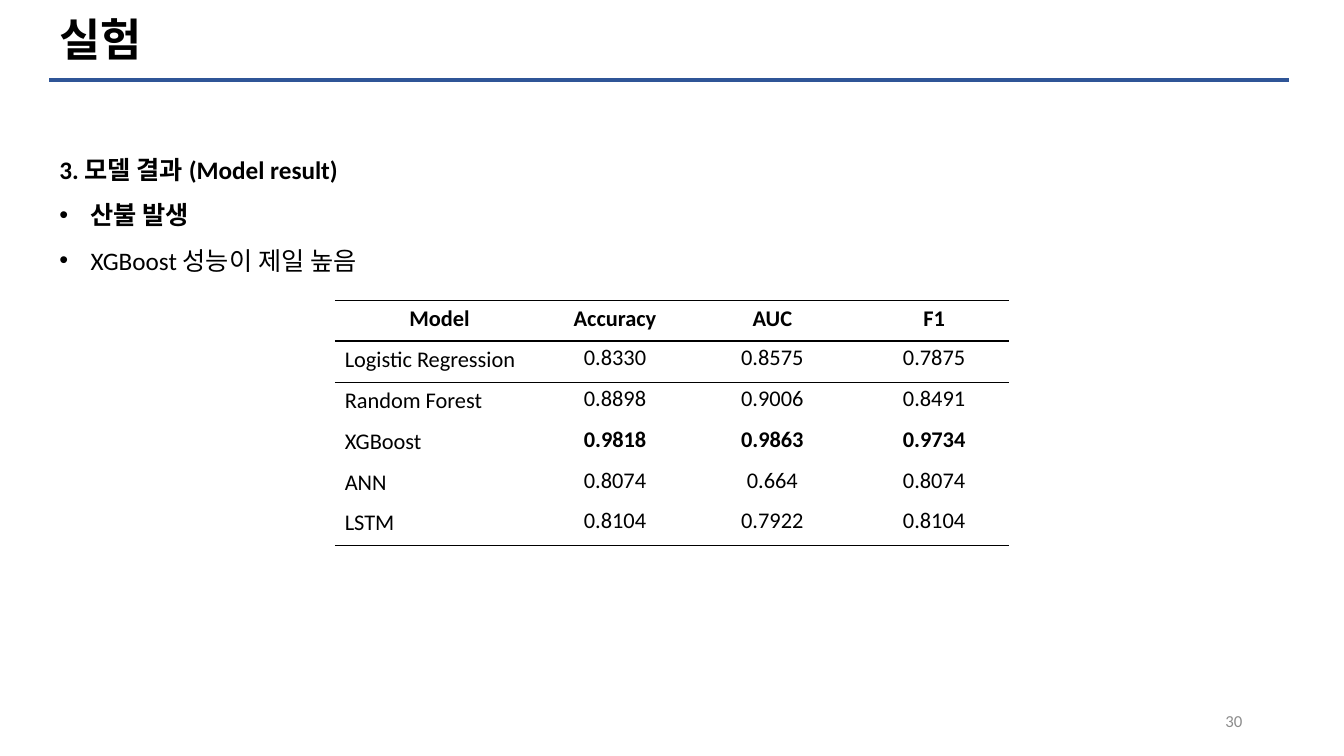
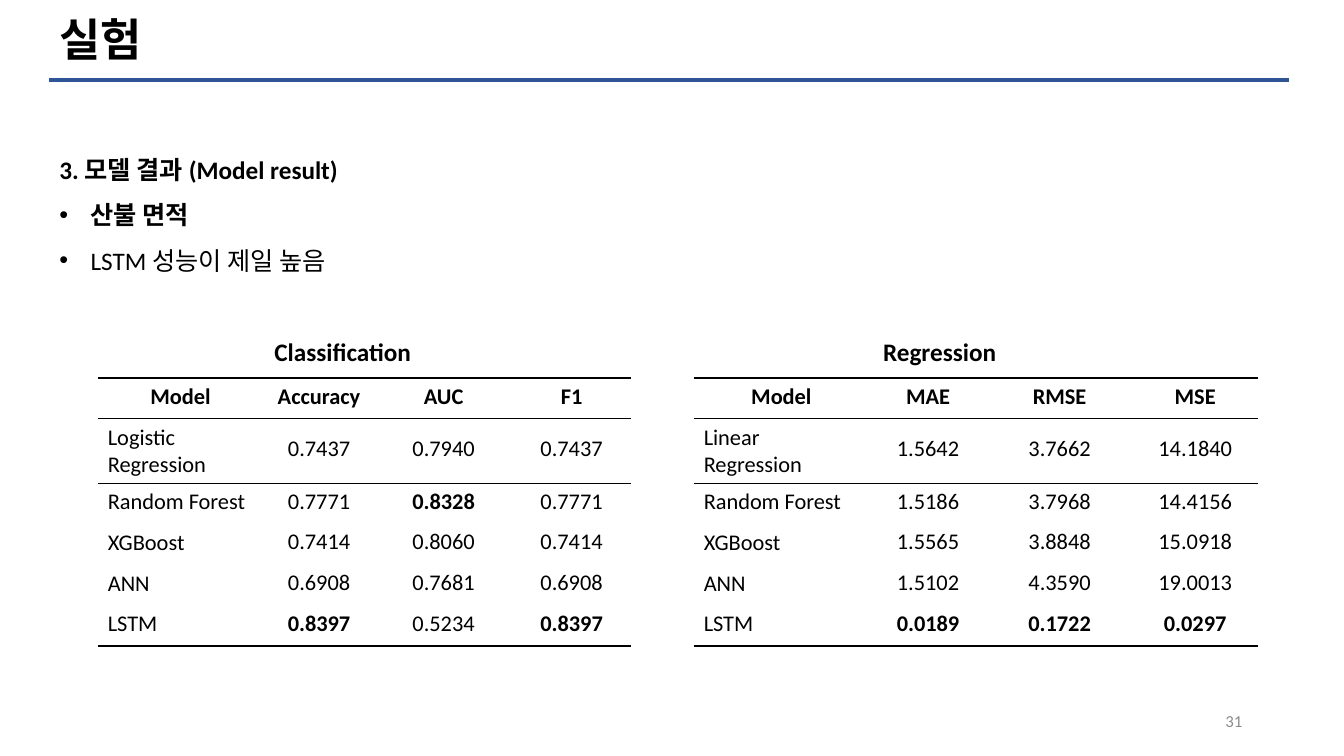
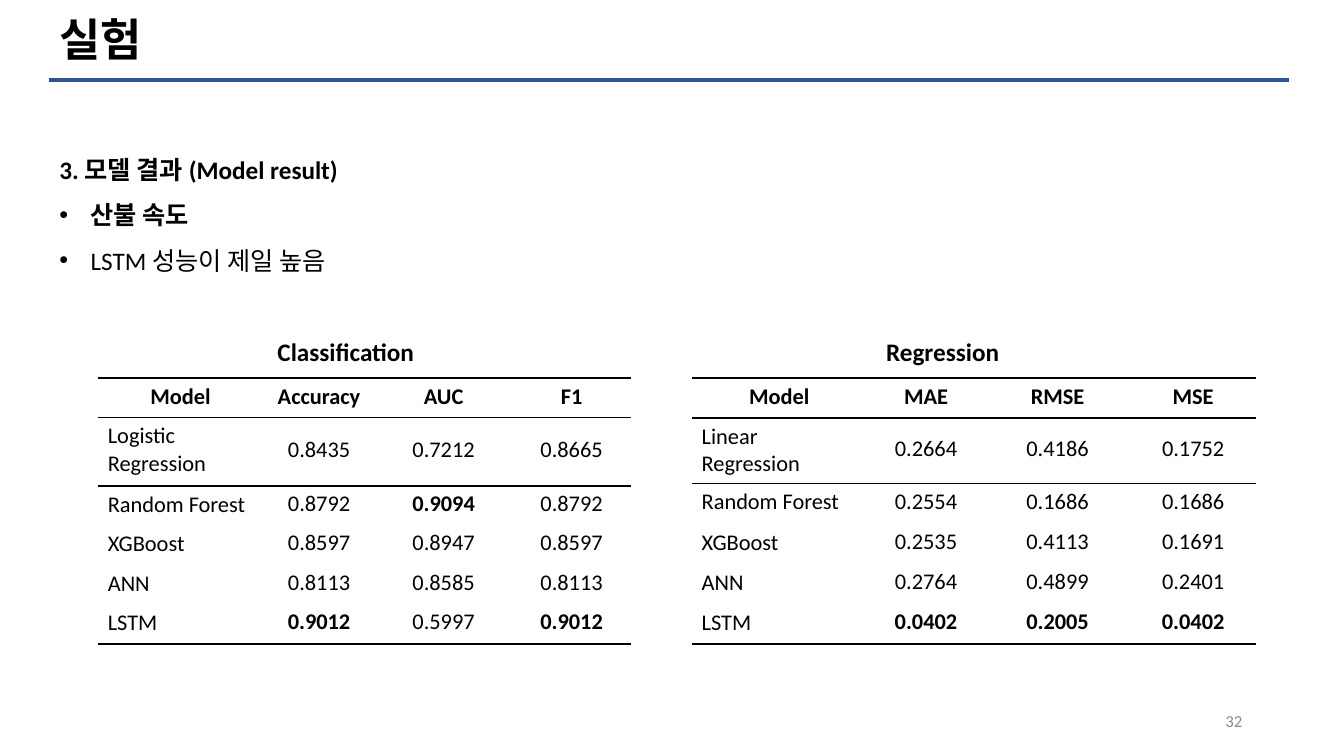
import dataclasses

import lxml.etree
import pptx
import pptx.dml.color
import pptx.enum.shapes
import pptx.enum.text
import pptx.oxml.ns
import pptx.util

Inches = pptx.util.Inches
Pt = pptx.util.Pt
Align = pptx.enum.text.PP_ALIGN
Anchor = pptx.enum.text.MSO_ANCHOR
qn = pptx.oxml.ns.qn


@dataclasses.dataclass(frozen=True)
class Theme:
    font: str = "Calibri"
    text: str = "000000"
    accent: str = "2F5597"
    muted: str = "8C8C8C"
    title_size: int = 32
    body_size: int = 18
    table_size: int = 16
    number_size: int = 12
    rule_width: int = 3
    border_width: int = 1
    plain_table: str = "{2D5ABB26-0587-4C30-8999-92F81FD0307C}"


CLASSIFICATION = ("Accuracy", "AUC", "F1")
REGRESSION = ("MAE", "RMSE", "MSE")
COMMON_MODELS = ("Random Forest", "XGBoost", "ANN", "LSTM")
LOGISTIC_MODELS = ("Logistic Regression",) + COMMON_MODELS
LINEAR_MODELS = ("Linear Regression",) + COMMON_MODELS
WIDE_COLUMNS = (2.08, 1.4, 1.72, 1.49)
LEFT_COLUMNS = (1.64, 1.11, 1.36, 1.18)
RIGHT_COLUMNS = (1.74, 1.17, 1.44, 1.25)
TOP_MARGINS = (0.07, 0.03, 0.07, 0.03)
MIDDLE_MARGINS = (0.01, 0.01, 0.01, 0.05)
MIXED_BEST = ("LSTM", "Random Forest", "LSTM")


class Deck:
    def __init__(self, theme):
        self.theme = theme
        self.presentation = pptx.Presentation()
        self.presentation.slide_width = Inches(13.33)
        self.presentation.slide_height = Inches(7.5)
        self.slide = None

    def color(self, value):
        return pptx.dml.color.RGBColor.from_string(value)

    def format(self, paragraph, size, bold=False, color=None, align=Align.LEFT, spacing=1.0):
        paragraph.alignment = align
        paragraph.line_spacing = spacing
        for run in paragraph.runs:
            run.font.name = self.theme.font
            run.font.size = Pt(size)
            run.font.bold = bold
            run.font.color.rgb = self.color(color or self.theme.text)

    def text_box(self, left, top, width, height, text, anchor=Anchor.TOP):
        shape = self.slide.shapes.add_textbox(
            Inches(left), Inches(top), Inches(width), Inches(height))
        frame = shape.text_frame
        frame.word_wrap = True
        frame.vertical_anchor = anchor
        frame.text = text
        return frame.paragraphs

    def add_slide(self, title, number):
        self.slide = self.presentation.slides.add_slide(self.presentation.slide_layouts[5])
        self.rule()
        self.title(title)
        self.page_number(number)

    def rule(self):
        line = self.slide.shapes.add_connector(
            pptx.enum.shapes.MSO_CONNECTOR.STRAIGHT,
            Inches(0.49), Inches(0.79), Inches(12.78), Inches(0.79))
        line.line.color.rgb = self.color(self.theme.accent)
        line.line.width = Pt(self.theme.rule_width)
        lxml.etree.SubElement(line._element.spPr, qn("a:effectLst"))

    def title(self, text):
        shape = self.slide.shapes.title
        shape.left, shape.top = Inches(0.49), Inches(0.1)
        shape.width, shape.height = Inches(10.6), Inches(0.61)
        frame = shape.text_frame
        frame.text = text
        frame.auto_size = pptx.enum.text.MSO_AUTO_SIZE.NONE
        frame.vertical_anchor = Anchor.BOTTOM
        self.format(frame.paragraphs[0], self.theme.title_size, bold=True, spacing=0.9)

    def page_number(self, number):
        paragraph, = self.text_box(9.42, 6.95, 3, 0.4, str(number), Anchor.MIDDLE)
        self.format(paragraph, self.theme.number_size, color=self.theme.muted, align=Align.RIGHT)

    def findings(self, heading, topic, finding):
        paragraphs = self.text_box(0.49, 1.33, 12.59, 1.55, "\n".join((heading, topic, finding)))
        for paragraph, bold in zip(paragraphs, (True, True, False)):
            self.format(paragraph, self.theme.body_size, bold=bold, spacing=1.5)
        for paragraph in paragraphs[1:]:
            self.bullet(paragraph)

    def bullet(self, paragraph):
        properties = paragraph._p.get_or_add_pPr()
        properties.set("marL", str(Inches(0.31)))
        properties.set("indent", str(-Inches(0.31)))
        lxml.etree.SubElement(properties, qn("a:buFont"), typeface="Arial")
        lxml.etree.SubElement(properties, qn("a:buChar"), char="•")

    def caption(self, center, text):
        paragraph, = self.text_box(center - 1.5, 3.29, 3, 0.4, text, Anchor.MIDDLE)
        self.format(paragraph, self.theme.body_size, bold=True, align=Align.CENTER)

    def border(self, cell, side):
        line = lxml.etree.Element(qn("a:" + side), w=str(Pt(self.theme.border_width)))
        fill = lxml.etree.SubElement(line, qn("a:solidFill"))
        lxml.etree.SubElement(fill, qn("a:srgbClr"), val=self.theme.text)
        properties = cell._tc.get_or_add_tcPr()
        properties.insert(len(properties) - 1, line)

    def results(self, left, top, height, columns, metrics, models, scores, best,
                baseline_height, anchor=Anchor.MIDDLE, margins=MIDDLE_MARGINS):
        rows = [("Model",) + metrics]
        rows += [(model,) + tuple(line.split()) for model, line in zip(models, scores)]
        table = self.slide.shapes.add_table(
            len(rows), len(columns), Inches(left), Inches(top),
            Inches(sum(columns)), Inches(height)).table
        table.horz_banding = False
        table._tbl.tblPr.find(qn("a:tableStyleId")).text = self.theme.plain_table
        for column, width in zip(table.columns, columns):
            column.width = Inches(width)
        row_height = (height - baseline_height) / (len(rows) - 1)
        for row_index, values in enumerate(rows):
            is_baseline = row_index == 1
            table.rows[row_index].height = Inches(baseline_height if is_baseline else row_height)
            for column_index, value in enumerate(values):
                cell = table.cell(row_index, column_index)
                is_header, is_score = row_index == 0, column_index > 0
                is_best = is_score and values[0] == best[column_index - 1]
                cell.text_frame.text = value
                self.format(cell.text_frame.paragraphs[0], self.theme.table_size,
                            bold=is_header or is_best,
                            align=Align.CENTER if is_header or is_score else Align.LEFT)
                if is_score and not is_header:
                    cell.vertical_anchor = anchor
                    (cell.margin_left, cell.margin_top,
                     cell.margin_right, cell.margin_bottom) = map(Inches, margins)
                cell.fill.background()
                if row_index < 2:
                    self.border(cell, "lnT")
                if row_index in (0, 1, len(rows) - 1):
                    self.border(cell, "lnB")


def main():
    deck = Deck(Theme())
    title, heading = "실험", "3. 모델 결과 (Model result)"

    deck.add_slide(title, 30)
    deck.findings(heading, "산불 발생", "XGBoost 성능이 제일 높음")
    deck.results(3.32, 2.98, 2.43, WIDE_COLUMNS, CLASSIFICATION, LOGISTIC_MODELS, (
        "0.8330 0.8575 0.7875",
        "0.8898 0.9006 0.8491",
        "0.9818 0.9863 0.9734",
        "0.8074 0.664 0.8074",
        "0.8104 0.7922 0.8104",
    ), ("XGBoost",) * 3, 0.41, Anchor.TOP, TOP_MARGINS)

    deck.add_slide(title, 31)
    deck.findings(heading, "산불 면적", "LSTM 성능이 제일 높음")
    deck.caption(3.4, "Classification")
    deck.caption(9.32, "Regression")
    deck.results(0.97, 3.75, 2.66, LEFT_COLUMNS, CLASSIFICATION, LOGISTIC_MODELS, (
        "0.7437 0.7940 0.7437",
        "0.7771 0.8328 0.7771",
        "0.7414 0.8060 0.7414",
        "0.6908 0.7681 0.6908",
        "0.8397 0.5234 0.8397",
    ), MIXED_BEST, 0.64)
    deck.results(6.88, 3.75, 2.66, RIGHT_COLUMNS, REGRESSION, LINEAR_MODELS, (
        "1.5642 3.7662 14.1840",
        "1.5186 3.7968 14.4156",
        "1.5565 3.8848 15.0918",
        "1.5102 4.3590 19.0013",
        "0.0189 0.1722 0.0297",
    ), ("LSTM",) * 3, 0.64)

    deck.add_slide(title, 32)
    deck.findings(heading, "산불 속도", "LSTM 성능이 제일 높음")
    deck.caption(3.43, "Classification")
    deck.caption(9.35, "Regression")
    deck.results(0.97, 3.75, 2.64, LEFT_COLUMNS, CLASSIFICATION, LOGISTIC_MODELS, (
        "0.8435 0.7212 0.8665",
        "0.8792 0.9094 0.8792",
        "0.8597 0.8947 0.8597",
        "0.8113 0.8585 0.8113",
        "0.9012 0.5997 0.9012",
    ), MIXED_BEST, 0.68)
    deck.results(6.86, 3.75, 2.64, RIGHT_COLUMNS, REGRESSION, LINEAR_MODELS, (
        "0.2664 0.4186 0.1752",
        "0.2554 0.1686 0.1686",
        "0.2535 0.4113 0.1691",
        "0.2764 0.4899 0.2401",
        "0.0402 0.2005 0.0402",
    ), ("LSTM",) * 3, 0.65)

    deck.presentation.save("out.pptx")


if __name__ == "__main__":
    main()
